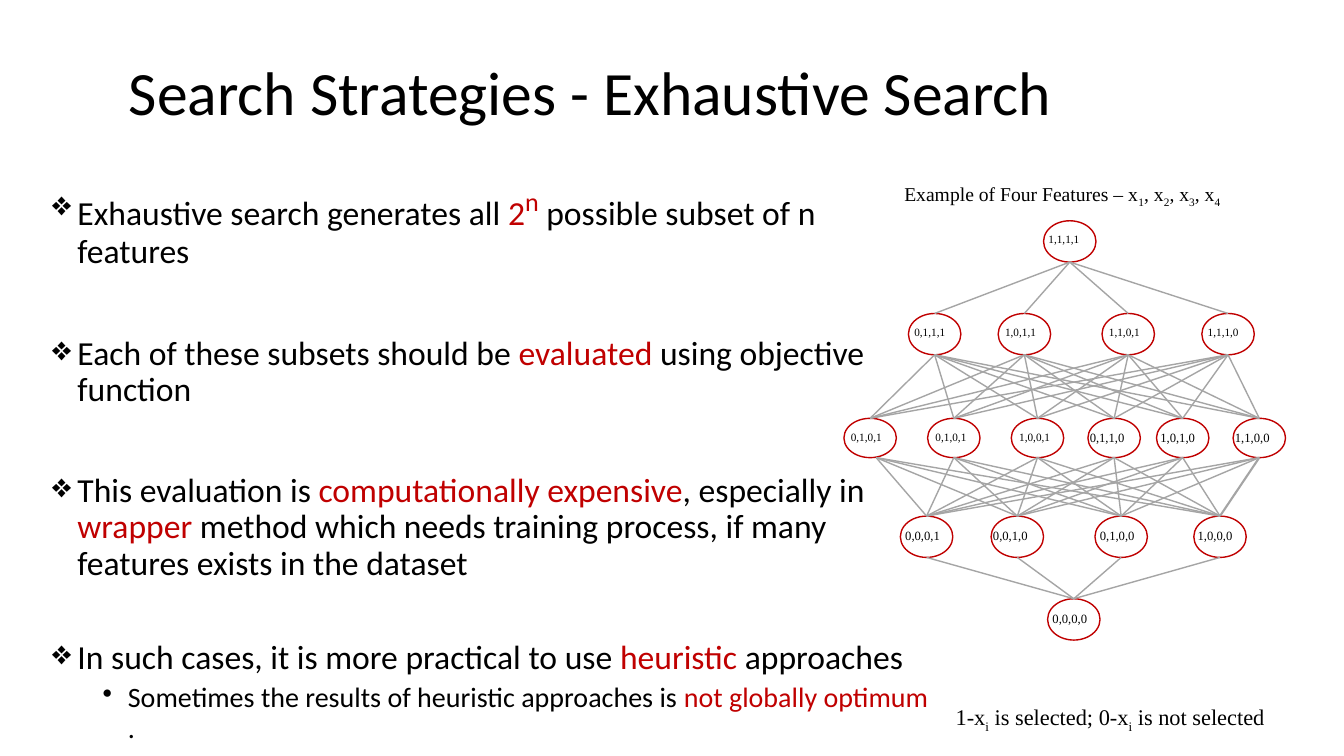
from itertools import product

from lxml.etree import SubElement
from pptx import Presentation
from pptx.dml.color import RGBColor
from pptx.enum.shapes import MSO_CONNECTOR, MSO_SHAPE
from pptx.enum.text import MSO_ANCHOR
from pptx.oxml.ns import qn
from pptx.util import Inches, Pt

COLORS = {"ink": "000000", "accent": "C00000", "edge": "A5A5A5"}
CELL = Inches(0.01)  # side of one grid cell; places below count cells
OVAL_WIDTH = 52

deck = Presentation()
deck.slide_width, deck.slide_height = 1333 * CELL, 750 * CELL
page = deck.slides.add_slide(deck.slide_layouts[6])


def add_box(left, top, width, height):
    box = page.shapes.add_textbox(left * CELL, top * CELL, width * CELL, height * CELL)
    box.text_frame.word_wrap = True
    return box.text_frame


def write(para, spans, size, name):
    """Add spans of (text, colour key, format overrides, baseline in percent)."""
    for text, color, overrides, baseline in spans:
        span = para.add_run()
        span.text = text
        for key, value in ({"size": Pt(size), "name": name} | overrides).items():
            setattr(span.font, key, value)
        span.font.color.rgb = RGBColor.from_string(COLORS[color])
        if baseline:
            span._r.get_or_add_rPr().set("baseline", str(baseline * 1000))


# Title
title = add_box(118, 56, 1082, 77)
title.vertical_anchor = MSO_ANCHOR.MIDDLE
title.paragraphs[0].line_spacing = 0.9
write(title.paragraphs[0], [("Search Strategies - Exhaustive Search", "ink", {}, 0)], 44, "Calibri")

# Bullets: mark, left margin in inches, space before, size, spans
bullets = [
    ("❖", 0.25, 0, 24, [
        ("Exhaustive search generates all ", "ink", {}, 0), ("2", "accent", {}, 0),
        ("n", "accent", {"size": Pt(32)}, 30), (" possible subset of n features", "ink", {}, 0)]),
    ("❖", 0.25, 46.4, 24, [
        ("Each of these subsets should be ", "ink", {}, 0), ("evaluated", "accent", {}, 0),
        (" using objective function", "ink", {}, 0)]),
    ("❖", 0.25, 46.4, 24, [
        ("This evaluation is ", "ink", {}, 0), ("computationally expensive", "accent", {}, 0),
        (", especially in ", "ink", {}, 0), ("wrapper", "accent", {}, 0),
        (" method which needs training process, if many features exists in the dataset",
         "ink", {}, 0)]),
    ("❖", 0.25, 41.4, 24, [
        ("In such cases, it is more practical to use ", "ink", {}, 0),
        ("heuristic", "accent", {}, 0), (" approaches", "ink", {}, 0)]),
    ("•", 0.75, 5, 20, [
        ("Sometimes the results of heuristic approaches is ", "ink", {}, 0),
        ("not globally optimum ", "accent", {}, 0), (".", "ink", {}, 0)]),
]
body = add_box(42, 180, 893, 450)
for number, (mark, margin, space, size, spans) in enumerate(bullets):
    para = body.add_paragraph() if number else body.paragraphs[0]
    props = para._p.get_or_add_pPr()
    props.set("marL", str(Inches(margin)))
    props.set("indent", str(-Inches(0.25)))
    SubElement(props, qn("a:buChar")).set("char", mark)
    para.line_spacing, para.space_before = 0.9, Pt(space)
    write(para, spans, size, "Calibri")

# Lattice rows: oval top, oval height, nodes of (centre, label left, label, label size)
lattice = [
    (219, 41, [(1061, 1030, "1,1,1,1", 8)]),
    (311, 41, [(927, 897, "0,1,1,1", 8), (1016, 987, "1,0,1,1", 8),
               (1119, 1090, "1,1,0,1", 8), (1218, 1188, "1,1,1,0", 8)]),
    (415, 39, [(863, 834, "0,1,0,1", 8), (946, 918, "0,1,0,1", 8), (1029, 1001, "1,0,0,1", 8),
               (1105, 1071, "0,1,1,0", 9), (1173, 1141, "1,0,1,0", 9),
               (1249, 1215, "1,1,0,0", 9)]),
    (512, 41, [(919, 888, "0,0,0,1", 9), (1009, 975, "0,0,1,0", 9),
               (1112, 1081, "0,1,0,0", 9), (1210, 1178, "1,0,0,0", 9)]),
    (594, 41, [(1065, 1034, "0,0,0,0", 9)]),
]
for top, height, nodes in lattice:
    for centre, *_ in nodes:
        oval = page.shapes.add_shape(
            MSO_SHAPE.OVAL, (centre - OVAL_WIDTH // 2) * CELL, top * CELL,
            OVAL_WIDTH * CELL, height * CELL)
        oval.shadow.inherit = False
        oval.fill.background()
        oval.line.color.rgb = RGBColor.from_string(COLORS["accent"])
        oval.line.width = Pt(1)

# Every node is joined to every node of the row above
line_feet = {863: 869}  # the leftmost oval is left a little to the right of its middle
for (upper_top, upper_height, uppers), (lower_top, _, lowers) in zip(lattice, lattice[1:]):
    for (upper, *_), (lower, *_) in product(uppers, lowers):
        edge = page.shapes.add_connector(
            MSO_CONNECTOR.STRAIGHT, lower * CELL, lower_top * CELL,
            line_feet.get(upper, upper) * CELL, (upper_top + upper_height) * CELL)
        edge.line.color.rgb = RGBColor.from_string(COLORS["edge"])
        edge.line.width = Pt(1.5 if (upper, lower) == (1249, 1210) else 1)
        SubElement(edge._element.spPr, qn("a:effectLst"))

for top, _, nodes in lattice:
    for _, left, label, size in nodes:
        frame = add_box(left, top + 7, 69, 28)
        write(frame.paragraphs[0], [(label, "ink", {}, 0)], size, "Times New Roman")

# Captions: place, size, pairs of text and its subscript
captions = [
    ((887, 176, 345, 34), 14,
     [("Example of Four Features – x", "1"), (", x", "2"), (", x", "3"), (", x", "4")]),
    ((938, 693, 340, 37), 16,
     [("1-x", "i"), (" is selected; 0-x", "i"), (" is not selected", "")]),
]
for place, size, pairs in captions:
    spans = [(text, "ink", {}, baseline)
             for pair in pairs for text, baseline in zip(pair, (0, -25)) if text]
    write(add_box(*place).paragraphs[0], spans, size, "Times New Roman")

deck.save("out.pptx")
